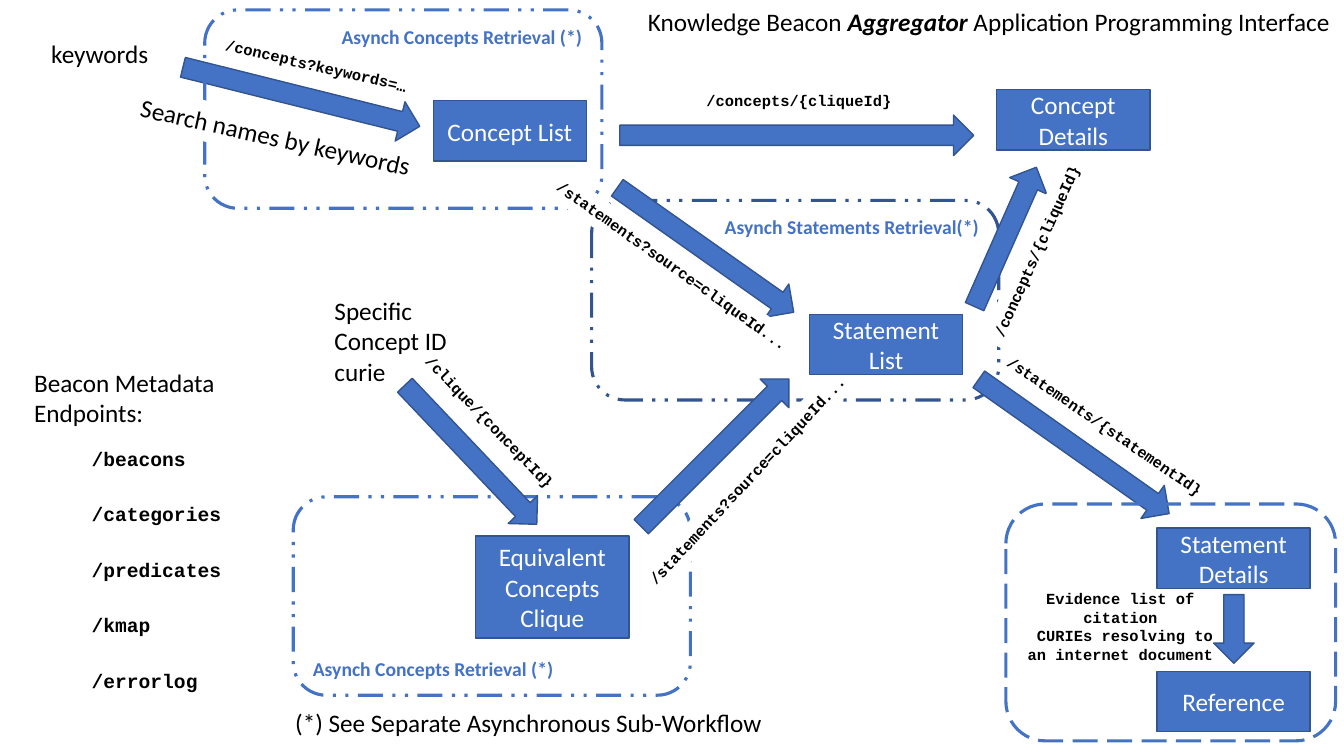
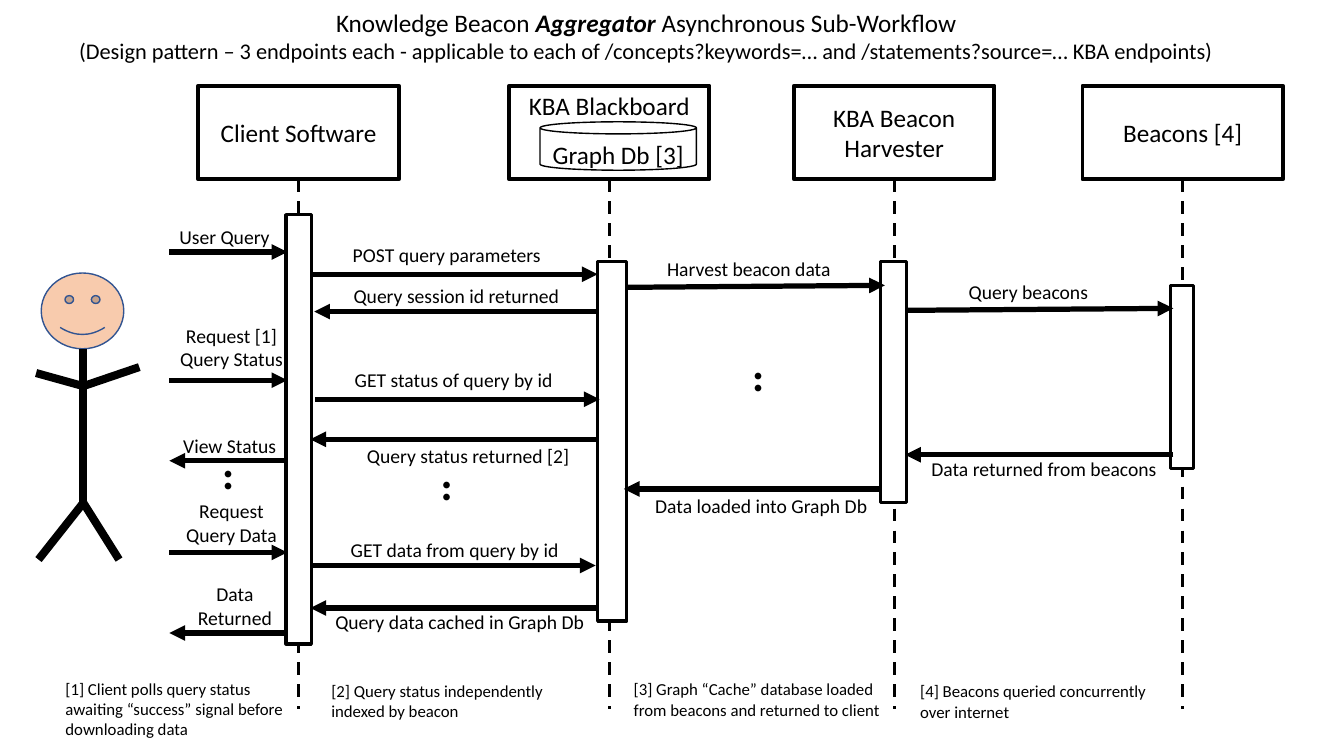
import pptx
import pptx.util
import pptx.dml.color
import pptx.enum.dml
import pptx.enum.shapes
import pptx.enum.text
import pptx.oxml.ns
from lxml import etree

Cm = pptx.util.Cm
Pt = pptx.util.Pt
Kind = pptx.enum.shapes.MSO_SHAPE
Dash = pptx.enum.dml.MSO_LINE
Anchor = pptx.enum.text.MSO_ANCHOR
Align = pptx.enum.text.PP_ALIGN
LEFT, CENTER, RIGHT = Align.LEFT, Align.CENTER, Align.RIGHT
TOP, MIDDLE, BOTTOM = Anchor.TOP, Anchor.MIDDLE, Anchor.BOTTOM

COLORS = {"blue": "4472C4", "navy": "325491", "black": "000000", "white": "FFFFFF", "skin": "F8CBAD"}
SANS, MONO = "Calibri", "Courier New"

ASYNC_CONCEPTS = "Asynch Concepts Retrieval (*)"
BACK_FRAMES = [
    ((7.39, 12.52, 10.01, 5), "blue", Dash.DASH_DOT_DOT, ASYNC_CONCEPTS, LEFT, BOTTOM),
    ((14.91, 5.05, 10.26, 5.03), "navy", Dash.DASH_DOT_DOT, "Asynch Statements Retrieval(*)", RIGHT, TOP),
]
FRONT_FRAMES = [
    ((5.16, 0.25, 10.01, 5), "blue", Dash.DASH_DOT_DOT, ASYNC_CONCEPTS, RIGHT, TOP),
    ((25.35, 12.7, 8.31, 5.97), "blue", Dash.LONG_DASH, "", LEFT, TOP),
]
FLOW_ARROWS = [
    (4.52, 1.93, 6.15, 14),
    (24.13, 10.74, 5.87, 35.2),
    (15.39, 10.9, 5.26, 315),
    (15.06, 5.79, 5.44, 35.2),
    (30.23, 15.34, 1.73, 90),
    (15.62, 2.9, 8.92, 0),
    (23.42, 5.46, 3.84, 293.9),
    (9.45, 10.95, 4.83, 46.5),
]
FLOW_BOXES = [
    (10.92, 2.54, 1.52, ["Concept List"]),
    (25.12, 2.26, 1.52, ["Concept Details"]),
    (20.4, 7.92, 1.52, ["Statement List"]),
    (11.99, 13.51, 2.57, ["Equivalent Concepts", "Clique"]),
    (29.16, 13.31, 1.52, ["Statement Details"]),
    (29.16, 16.92, 1.52, ["Reference"]),
]
CALLS = [
    ("/concepts?keywords=…", 5.38, 1.3, 5.23, 13.1, None),
    ("/concepts/{cliqueId}", 17.55, 2.16, 5.23, 0, None),
    ("/concepts/{cliqueId}", 23.52, 5.94, 5.23, 294.3, "white"),
    ("/statements/{statementId}", 24.66, 10.39, 6.4, 34.6, None),
    ("/clique/{conceptId}", 9.86, 10.29, 5, 46.1, None),
    ("/statements?source=cliqueId...", 15.06, 11.71, 7.59, 313.1, "white"),
    ("/statements?source=cliqueId...", 13.18, 6.35, 7.59, 35.4, "white"),
]
CAPTIONS = [
    (["keywords"], (1.04, 0.84, 2.97, 1.02), False),
    (["Specific", "Concept ID", "curie"], (8.18, 7.32, 3.38, 2.57), False),
    (["Beacon Metadata Endpoints:"], (0.61, 9.12, 6.02, 1.8), True),
    (["(*) See Separate Asynchronous Sub-Workflow"], (7.19, 17.7, 12.4, 1.02), False),
]
ENDPOINTS = ["/beacons", "/categories", "/predicates", "/kmap", "/errorlog"]
EVIDENCE = ["Evidence list of citation", " CURIEs resolving to an internet document"]

PATTERN = ("(Design pattern – 3 endpoints each - applicable to each of "
           "/concepts?keywords=… and /statements?source=… KBA endpoints)")
PARTICIPANTS = [
    ("Client Software", 5, MIDDLE, (7.21, 5.41, 0.64, 10.82)),
    ("KBA Blackboard", 12.83, TOP, (15.06, 6.58, 0.74, 9.07)),
    ("KBA Beacon Harvester", 20.01, MIDDLE, (22.2, 6.6, 0.64, 6.07)),
    ("Beacons [4]", 27.28, MIDDLE, (29.49, 7.19, 0.58, 4.62)),
]
USER_LEFT, USER_RIGHT = 4.27, 7.24
MESSAGES = [
    ("User Query", (USER_LEFT, 6.35, USER_RIGHT, 6.35), (4.11, 5.54, 3.1, 0.86), CENTER),
    ("Request [1] Query Status", (USER_LEFT, 9.58, USER_RIGHT, 9.58), (4.22, 8.03, 3.23, 1.45), CENTER),
    ("View Status", (USER_RIGHT, 11.61, USER_LEFT, 11.61), (4.11, 10.82, 3.1, 0.86), RIGHT),
    ("Request Query Data", (USER_LEFT, 13.92, USER_RIGHT, 13.92), (4.22, 12.45, 3.23, 1.45), CENTER),
    ("Data Returned", (USER_RIGHT, 15.95, USER_LEFT, 15.95), (4.37, 14.55, 3.1, 1.45), CENTER),
    ("POST query parameters", (7.87, 6.91, 15.06, 6.91), (8.64, 5.99, 5.74, 0.86), LEFT),
    ("Query session id returned", (15.09, 7.85, 7.92, 7.85), (8.66, 7.04, 5.74, 0.86), LEFT),
    ("GET status of query by id", (7.95, 10.06, 15.11, 10.06), (8.69, 9.14, 5.74, 0.86), LEFT),
    ("Query status returned [2]", (15.01, 11.07, 7.82, 11.07), (8.56, 11.05, 6.48, 0.86), CENTER),
    ("GET data from query by id", (7.82, 14.25, 15.01, 14.25), (8.59, 13.44, 6.22, 0.86), LEFT),
    ("Query data cached in Graph Db", (15.01, 15.32, 7.82, 15.32), (8.2, 15.24, 6.81, 0.86), LEFT),
    ("Harvest beacon data", (15.82, 7.24, 22.3, 7.19), (16.56, 6.35, 5.74, 0.86), LEFT),
    ("Data loaded into Graph Db", (22.2, 12.32, 15.72, 12.32), (16.26, 12.32, 6.53, 0.86), LEFT),
    ("Query beacons", (22.86, 7.82, 29.57, 7.77), (24.16, 6.93, 3.89, 0.86), LEFT),
    ("Data returned from beacons", (29.57, 11.46, 22.81, 11.46), (23.22, 11.4, 6.53, 0.86), LEFT),
]
NOTES = [
    ("[1] Client polls query status awaiting “success” signal before downloading data", (1.4, 16.97, 6.05, 1.8)),
    ("[2] Query status independently indexed by beacon", (8.1, 17.02, 6.81, 1.27)),
    ("[3] Graph “Cache” database loaded from beacons and returned to client", (15.72, 16.99, 6.81, 1.27)),
    ("[4] Beacons queried concurrently over internet", (22.94, 17.04, 6.81, 1.27)),
]
PAUSES = [(10.08, 12.07), (4.57, 11.81), (17.93, 9.32)]
NECK, SHOULDER, HIP = (2.1, 8.79), (2.1, 9.73), (2.1, 12.67)
LIMBS = [NECK + HIP, HIP + (0.97, 14.1), HIP + (3, 14.1), SHOULDER + (0.91, 9.4), SHOULDER + (3.51, 9.25)]


def color(name):
    return pptx.dml.color.RGBColor.from_string(COLORS[name])


def write(shape, paragraphs, size=18, ink="black", font=SANS, bold=False, align=LEFT, anchor=TOP, wrap=True):
    frame = shape.text_frame
    frame.word_wrap = wrap
    frame.vertical_anchor = anchor
    for index, content in enumerate(paragraphs):
        para = frame.paragraphs[0] if index == 0 else frame.add_paragraph()
        para.alignment = align
        spans = [(content, {})] if isinstance(content, str) else content
        for text, style in spans:
            span = para.add_run()
            span.text = text
            span.font.name = font
            span.font.size = Pt(style.get("size", size))
            span.font.bold = style.get("strong", bold)
            span.font.italic = style.get("strong", False)
            span.font.color.rgb = color(ink)


def add_shape(page, kind, area, fill=None, line=None, width=1, dash=None, turn=0):
    shape = page.shapes.add_shape(kind, *map(Cm, area))
    shape.shadow.inherit = False
    shape.rotation = turn
    if fill:
        shape.fill.solid()
        shape.fill.fore_color.rgb = color(fill)
    else:
        shape.fill.background()
    if line:
        shape.line.color.rgb = color(line)
        shape.line.width = Pt(width)
        if dash:
            shape.line.dash_style = dash
    else:
        shape.line.fill.background()
    return shape


def add_label(page, paragraphs, area, fill=None, turn=0, **style):
    box = page.shapes.add_textbox(*map(Cm, area))
    box.rotation = turn
    if fill:
        box.fill.solid()
        box.fill.fore_color.rgb = color(fill)
    write(box, paragraphs, **style)
    box.text_frame.auto_size = pptx.enum.text.MSO_AUTO_SIZE.SHAPE_TO_FIT_TEXT
    return box


def add_line(page, ends, width, dash=None, arrow=False):
    line = page.shapes.add_connector(pptx.enum.shapes.MSO_CONNECTOR.STRAIGHT, *map(Cm, ends))
    line.line.color.rgb = color("black")
    line.line.width = Pt(width)
    if dash:
        line.line.dash_style = dash
    properties = line._element.spPr
    if arrow:
        outline = properties.find(pptx.oxml.ns.qn("a:ln"))
        etree.SubElement(outline, pptx.oxml.ns.qn("a:tailEnd"), type="triangle")
    etree.SubElement(properties, pptx.oxml.ns.qn("a:effectLst"))
    return line


def add_title(page, ending, area, extra=(), align=LEFT):
    heading = [("Knowledge Beacon ", {}), ("Aggregator", {"strong": True}), (ending, {})]
    add_label(page, [heading, *extra], area, align=align, wrap=False)


def add_frames(page, frames):
    for area, line, dash, text, align, anchor in frames:
        frame = add_shape(page, Kind.ROUNDED_RECTANGLE, area, line=line, width=2.25, dash=dash)
        if text:
            write(frame, [text], size=14, ink="blue", bold=True, align=align, anchor=anchor)


def build_interface(page):
    add_frames(page, BACK_FRAMES)
    for left, top, width, turn in FLOW_ARROWS:
        add_shape(page, Kind.RIGHT_ARROW, (left, top, width, 1.02), "blue", "navy", turn=turn)
    add_frames(page, FRONT_FRAMES)
    add_title(page, " Application Programming Interface", (16.08, 0.03, 17.81, 1.02))
    for paragraphs, area, wrap in CAPTIONS:
        add_label(page, paragraphs, area, wrap=wrap)
    for row, endpoint in enumerate(ENDPOINTS):
        add_label(page, [endpoint], (2.06, 11.13 + 1.4 * row, 4.5, 0.86), size=14, font=MONO, bold=True)
    for text, left, top, width, turn, fill in CALLS:
        add_label(page, [text], (left, top, width, 0.74), fill, turn, size=11, font=MONO, bold=True, wrap=False)
    add_label(page, ["Search names by keywords"], (3.23, 2.95, 7.57, 1.02), "white", 12.5)
    add_label(page, EVIDENCE, (25.35, 14.73, 5.77, 2.13), size=11, font=MONO, bold=True, align=CENTER)
    for left, top, height, paragraphs in FLOW_BOXES:
        box = add_shape(page, Kind.RECTANGLE, (left, top, 3.86, height), "blue", "navy")
        write(box, paragraphs, ink="white", align=CENTER, anchor=MIDDLE)


def build_workflow(page):
    add_title(page, " Asynchronous Sub-Workflow", (1.63, 0.05, 29.31, 1.7), [[(PATTERN, {"size": 16})]], CENTER)
    top, width, height = 2.16, 5.05, 2.36
    for name, left, anchor, bar in PARTICIPANTS:
        box = add_shape(page, Kind.RECTANGLE, (left, top, width, height), line="black", width=2.75)
        write(box, [name], align=CENTER, anchor=anchor)
        middle = left + width / 2
        lifeline = add_line(page, (middle, top + height, middle, 17.86), 2.25, Dash.DASH)
        lifeline.begin_connect(box, 2)
        add_shape(page, Kind.RECTANGLE, bar, "white", "black", 2.25)
    database = add_shape(page, Kind.CAN, (13.61, 3.07, 3.94, 1.22), line="black")
    write(database, ["Graph Db [3]"], align=CENTER)
    for text, ends, area, align in MESSAGES:
        add_line(page, ends, 3.75, arrow=True)
        add_label(page, [text], area, size=14, align=align)
    for left, top in PAUSES:
        dots = add_label(page, [".."], (left, top, 1.88, 0.86), size=32, bold=True, wrap=False)
        dots.text_frame._txBody.bodyPr.set("vert", "vert270")
    for text, area in NOTES:
        add_label(page, [text], area, size=12)
    add_shape(page, Kind.SMILEY_FACE, (1.04, 6.88, 2.08, 1.91), "skin", "navy")
    for limb in LIMBS:
        add_line(page, limb, 5.75)


def main():
    deck = pptx.Presentation()
    deck.slide_width, deck.slide_height = Cm(33.87), Cm(19.05)
    for build in (build_interface, build_workflow):
        build(deck.slides.add_slide(deck.slide_layouts[6]))
    deck.save("out.pptx")


if __name__ == "__main__":
    main()
